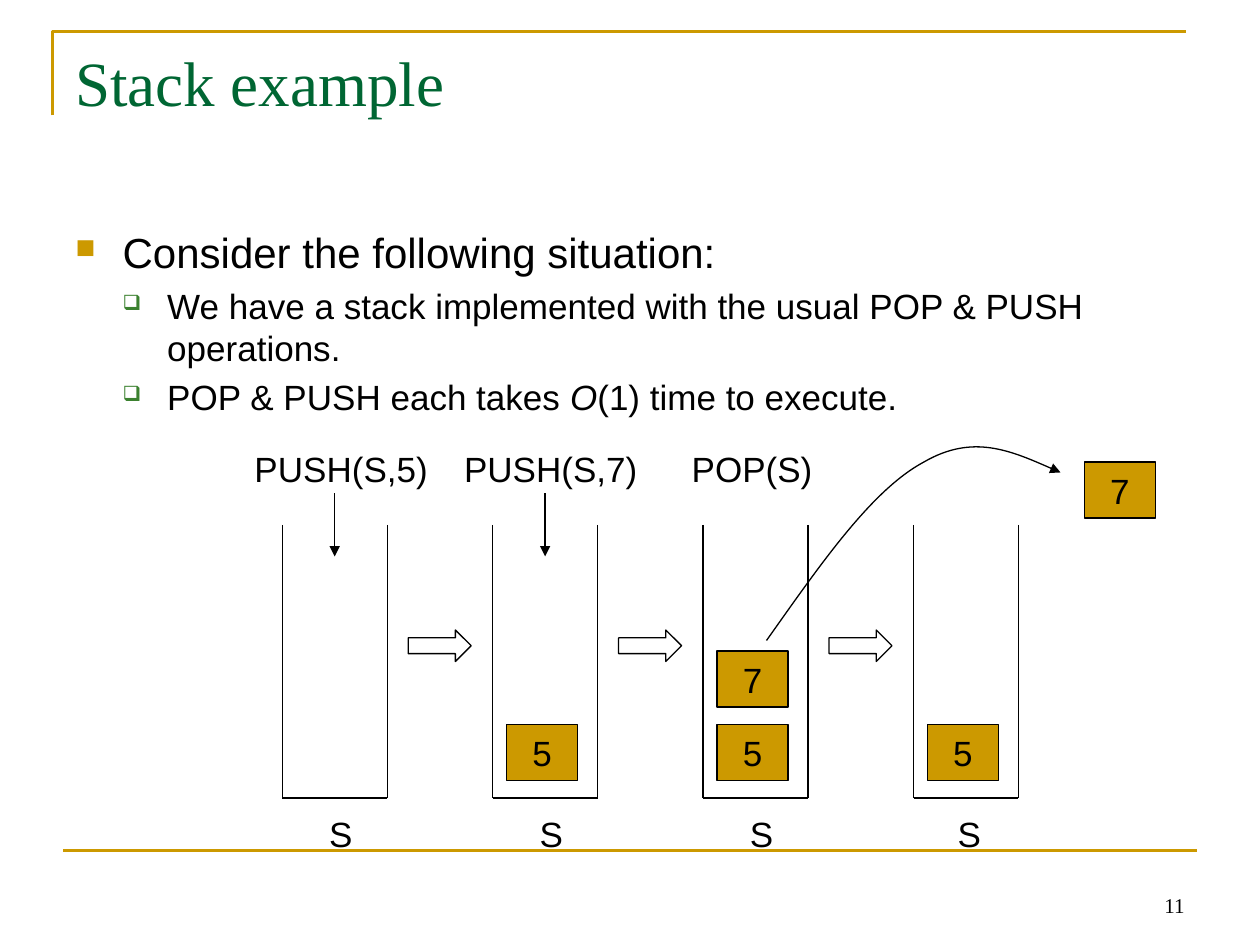
from lxml import etree
from pptx import Presentation
from pptx.dml.color import RGBColor
from pptx.enum.shapes import MSO_CONNECTOR as CONN, MSO_SHAPE as SHAPE
from pptx.enum.text import MSO_ANCHOR as ANCHOR, PP_ALIGN as ALIGN
from pptx.oxml.ns import qn
from pptx.util import Pt

GOLD = RGBColor(0xCC, 0x99, 0x00)
GREEN = RGBColor(0x00, 0x66, 0x33)
LEAF = RGBColor(0x3B, 0x81, 0x2F)
BLACK = RGBColor(0x00, 0x00, 0x00)

TITLE = {"name": "Times New Roman", "size": Pt(36)}
BODY = {"name": "Arial", "size": Pt(24)}
LABEL = {"name": "Arial", "size": Pt(20)}
NUMBER = {"name": "Times New Roman", "size": Pt(12)}


def write(tf, text, fmt, color=BLACK, align=ALIGN.LEFT, anchor=ANCHOR.TOP, wrap=True):
    tf.word_wrap = wrap
    tf.vertical_anchor = anchor
    p = tf.paragraphs[0]
    p.alignment = align
    r = p.add_run()
    r.text = text
    r.font.color.rgb = color
    for key, value in fmt.items():
        setattr(r.font, key, value)


def style_line(sp, color=BLACK, width=0.75, arrow=False):
    sp.line.color.rgb = color
    sp.line.width = Pt(width)
    props = sp._element.spPr
    if arrow:
        etree.SubElement(props.find(qn("a:ln")), qn("a:tailEnd"), type="triangle")
    if props.find(qn("a:effectLst")) is None:
        etree.SubElement(props, qn("a:effectLst"))


prs = Presentation()
prs.slide_width, prs.slide_height = Pt(720), Pt(540)
s = prs.slides.add_slide(prs.slide_layouts[6])
shapes = s.shapes

# Frame lines
fb = shapes.build_freeform(Pt(30), Pt(66))
fb.add_line_segments([(Pt(30), Pt(18)), (Pt(678), Pt(18))], close=False)
corner = fb.convert_to_shape()
corner.fill.background()
style_line(corner, GOLD, 1.5)
rule = shapes.add_connector(CONN.STRAIGHT, Pt(36), Pt(486), Pt(684), Pt(486))
style_line(rule, GOLD, 1.5)

# Title and slide number
tb = shapes.add_textbox(Pt(36), Pt(21.5), Pt(648), Pt(90))
write(tb.text_frame, "Stack example", TITLE, GREEN)
tb = shapes.add_textbox(Pt(516), Pt(492), Pt(168), Pt(36))
write(tb.text_frame, "11", NUMBER, align=ALIGN.RIGHT, anchor=ANCHOR.BOTTOM)

# Bulleted text: level, runs as (text, italic)
bullets = [
    (0, [("Consider the following situation:", False)]),
    (1, [("We have a stack implemented with the usual POP & PUSH operations.", False)]),
    (1, [("POP & PUSH each takes ", False), ("O", True), ("(1) time to execute.", False)]),
]
# Per level: font, left margin, indent, bullet, its colour and its size in percent
levels = [(BODY, 27, -27, "■", GOLD, 65), (LABEL, 52.5, -25.5, "❑", LEAF, 60)]
tf = shapes.add_textbox(Pt(36), Pt(126), Pt(648), Pt(356)).text_frame
tf.word_wrap = True
for i, (level, runs) in enumerate(bullets):
    fmt, margin, indent, char, color, percent = levels[level]
    p = tf.add_paragraph() if i else tf.paragraphs[0]
    p.level = level
    p.space_before = Pt(fmt["size"].pt * 0.2)
    for text, italic in runs:
        r = p.add_run()
        r.text = text
        r.font.color.rgb = BLACK
        for key, value in {**fmt, "italic": italic}.items():
            setattr(r.font, key, value)
    pPr = p._p.get_or_add_pPr()
    pPr.set("marL", str(Pt(margin)))
    pPr.set("indent", str(Pt(indent)))
    clr = etree.SubElement(pPr, qn("a:buClr"))
    etree.SubElement(clr, qn("a:srgbClr"), val=str(color))
    etree.SubElement(pPr, qn("a:buSzPct"), val=str(percent * 1000))
    etree.SubElement(pPr, qn("a:buChar"), char=char)

# Stacks, each an open box, and the arrows between them
LEFT, PITCH, WIDTH, TOP, BOTTOM = 161.25, 120.25, 60, 300, 456
lefts = [LEFT + PITCH * i for i in range(4)]
for i, x in enumerate(lefts):
    right = x + WIDTH
    for x1, y1, x2, y2 in [(x, TOP, x, BOTTOM), (x, BOTTOM, right, BOTTOM),
                           (right, TOP, right, BOTTOM)]:
        style_line(shapes.add_connector(CONN.STRAIGHT, Pt(x1), Pt(y1), Pt(x2), Pt(y2)))
    if i < 3:
        sp = shapes.add_shape(SHAPE.RIGHT_ARROW, Pt(x + 72), Pt(360), Pt(36), Pt(18))
        sp.fill.background()
        style_line(sp)

# Stack names and operations: text, centre, top
labels = [("S", x, 460.75) for x in (194.75, 315, 435.25, 554)]
labels += [("PUSH(S,5)", 195, 252), ("PUSH(S,7)", 314.75, 252), ("POP(S)", 429.75, 252)]
for text, center, top in labels:
    tb = shapes.add_textbox(Pt(center - 57), Pt(top), Pt(114), Pt(31))
    write(tb.text_frame, text, LABEL, align=ALIGN.CENTER, wrap=False)

# Push arrows
for x in lefts[:2]:
    mid = Pt(x + WIDTH / 2)
    push = shapes.add_connector(CONN.STRAIGHT, mid, Pt(282), mid, Pt(318))
    style_line(push, arrow=True)

# Stack elements
elements = [("5", x + 8, 414) for x in lefts[1:]]
elements += [("7", lefts[2] + 8, 372), ("7", 619.75, 264)]
for text, x, y in elements:
    sp = shapes.add_shape(SHAPE.RECTANGLE, Pt(x), Pt(y), Pt(40.5), Pt(32))
    sp.fill.solid()
    sp.fill.fore_color.rgb = GOLD
    style_line(sp)
    write(sp.text_frame, text, LABEL, align=ALIGN.CENTER, anchor=ANCHOR.MIDDLE)

# Curved pop arrow: every three points become one Bézier segment
curve = [(468.5, 323), (498, 280), (528, 264), (556, 247.75), (581, 259), (606, 270)]
fb = shapes.build_freeform(Pt(438), Pt(366))
fb.add_line_segments([(Pt(x), Pt(y)) for x, y in curve], close=False)
pop = fb.convert_to_shape()
pop.fill.background()
style_line(pop, arrow=True)
steps = list(pop._element.iter(qn("a:lnTo")))
for start in range(0, len(steps), 3):
    bezier = etree.SubElement(steps[start].getparent(), qn("a:cubicBezTo"))
    for step in steps[start:start + 3]:
        bezier.append(step[0])
        step.getparent().remove(step)

prs.save("out.pptx")
